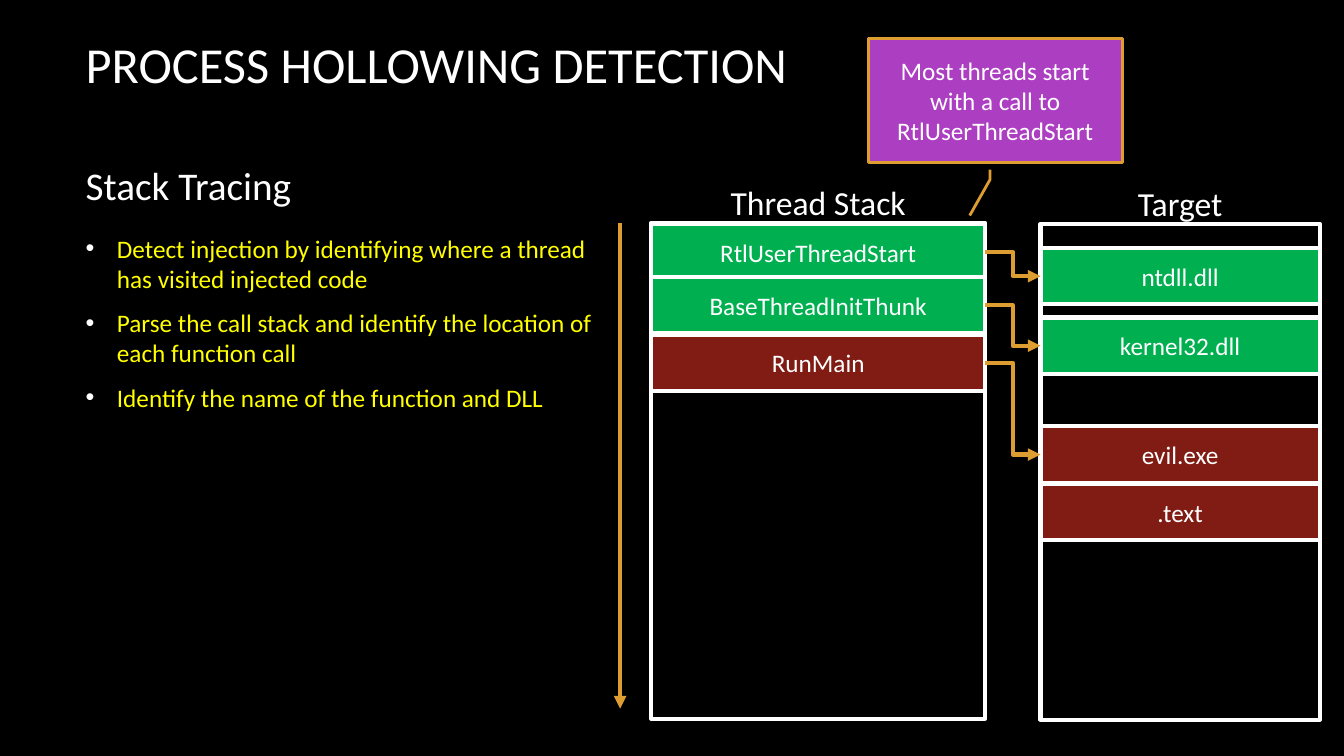
from lxml import etree
from pptx import Presentation
from pptx import util as u
from pptx.dml.color import RGBColor
from pptx.enum import shapes, text
from pptx.oxml import ns

BLACK, WHITE, YELLOW = "000000", "FFFFFF", "FFFF00"
GREEN, RED, GOLD, PURPLE = "00B050", "801C14", "DD9D31", "AC3EC1"
ROW_HEIGHT, COLUMN_HEIGHT = 0.56, 4.92


def colour(value):
    return RGBColor.from_string(value)


def add_xml(parent, tag, **attributes):
    return etree.SubElement(parent, ns.qn(tag), attributes)


class Slide:
    font = "Calibri"

    def __init__(self, page):
        self.page = page
        page.background.fill.solid()
        page.background.fill.fore_color.rgb = colour(BLACK)

    def set_text(self, box, lines, size, ink=WHITE, align=text.PP_ALIGN.CENTER,
                 anchor=text.MSO_ANCHOR.MIDDLE, after=0):
        frame = box.text_frame
        frame.text = "\n".join(lines)
        frame.word_wrap = True
        frame.auto_size = text.MSO_AUTO_SIZE.NONE
        frame.vertical_anchor = anchor
        for para in frame.paragraphs:
            para.alignment = align
            para.space_before, para.space_after = u.Pt(0), u.Pt(after)
            para.font.name, para.font.size = self.font, u.Pt(size)
            para.font.bold = False
            para.font.color.rgb = colour(ink)

    def placeholder(self, index, place, lines, size, **style):
        box = self.page.placeholders[index]
        box.left, box.top, box.width, box.height = map(u.Inches, place)
        self.set_text(box, lines, size, align=text.PP_ALIGN.LEFT, **style)
        return box

    def bullets(self, index, place, lines, size, ink):
        box = self.placeholder(index, place, lines, size, ink=ink, after=10,
                               anchor=text.MSO_ANCHOR.TOP)
        indent = u.Inches(0.31)
        for para in box.text_frame.paragraphs:
            props = para._p.get_or_add_pPr()
            props.set("marL", str(indent))
            props.set("indent", str(-indent))
            # Bullet elements must precede the default run properties.
            defaults = props.find(ns.qn("a:defRPr"))
            add_xml(add_xml(props, "a:buClr"), "a:srgbClr", val=WHITE)
            add_xml(props, "a:buFont", typeface="Arial")
            add_xml(props, "a:buChar", char="•")
            if defaults is not None:
                props.append(defaults)

    def label(self, place, words):
        box = self.page.shapes.add_textbox(*map(u.Inches, place))
        self.set_text(box, [words], 24, anchor=text.MSO_ANCHOR.TOP)
        box.text_frame.auto_size = text.MSO_AUTO_SIZE.SHAPE_TO_FIT_TEXT

    def shape(self, place, fill=None, words="", line=WHITE, width=3,
              kind=shapes.MSO_SHAPE.RECTANGLE):
        box = self.page.shapes.add_shape(kind, *map(u.Inches, place))
        box.shadow.inherit = False
        box.line.color.rgb = colour(line)
        box.line.width = u.Pt(width)
        if fill:
            box.fill.solid()
            box.fill.fore_color.rgb = colour(fill)
        else:
            box.fill.background()
        if words:
            self.set_text(box, [words], 18)
        return box

    def column(self, heading, left, top, width, rows):
        """Draw a headed memory column and return its rows by name."""
        self.label((left, top - 0.45, width, 0.5), heading)
        self.shape((left, top, width, COLUMN_HEIGHT))
        return {name: self.shape((left, row_top, width, ROW_HEIGHT), fill, name)
                for name, row_top, fill in rows}

    def arrow(self, kind, start=(0, 0), end=(0, 0)):
        line = self.page.shapes.add_connector(kind, *map(u.Inches, start + end))
        line.line.color.rgb = colour(GOLD)
        line.line.width = u.Pt(3)
        add_xml(line.line._get_or_add_ln(), "a:tailEnd", type="triangle")
        add_xml(line._element.spPr, "a:effectLst")
        return line

    def link(self, source, target):
        """Join the right side of source to the left side of target."""
        line = self.arrow(shapes.MSO_CONNECTOR.ELBOW)
        line.begin_connect(source, 3)
        line.end_connect(target, 1)

    def callout(self, place, words, adjustments):
        box = self.shape(place, PURPLE, words, GOLD, 2,
                         shapes.MSO_SHAPE.LINE_CALLOUT_2)
        for index, value in enumerate(adjustments):
            box.adjustments[index] = value

    def remove_empty(self):
        for box in list(self.page.placeholders):
            if not box.text_frame.text:
                box._element.getparent().remove(box._element)


def main():
    deck = Presentation()
    deck.slide_width, deck.slide_height = u.Inches(13.33), u.Inches(7.5)
    slide = Slide(deck.slides.add_slide(deck.slide_layouts.get_by_name("Comparison")))

    slide.placeholder(0, (0.75, 0.19, 11.08, 0.88), ["PROCESS HOLLOWING DETECTION"], 36)
    slide.placeholder(1, (0.75, 1.49, 5.46, 0.63), ["Stack Tracing"], 28,
                      anchor=text.MSO_ANCHOR.BOTTOM, after=10)
    slide.bullets(2, (0.75, 2.26, 5.46, 4.07), [
        "Detect injection by identifying where a thread has visited injected code",
        "Parse the call stack and identify the location of each function call",
        "Identify the name of the function and DLL",
    ], 18, YELLOW)
    slide.remove_empty()

    modules = slide.column("Target", 10.32, 2.22, 2.77, [
        ("evil.exe", 4.23, RED),
        (".text", 4.8, RED),
        ("ntdll.dll", 2.46, GREEN),
        ("kernel32.dll", 3.15, GREEN),
    ])
    calls = slide.column("Thread Stack", 6.46, 2.21, 3.31, [
        ("RtlUserThreadStart", 2.22, GREEN),
        ("BaseThreadInitThunk", 2.75, GREEN),
        ("RunMain", 3.32, RED),
    ])
    for call, module in [("RtlUserThreadStart", "ntdll.dll"),
                         ("BaseThreadInitThunk", "kernel32.dll"),
                         ("RunMain", "evil.exe")]:
        slide.link(calls[call], modules[module])

    slide.arrow(shapes.MSO_CONNECTOR.STRAIGHT, (6.15, 2.21), (6.15, 7.03))
    slide.callout((8.61, 0.38, 2.52, 1.23),
                  "Most threads start with a call to RtlUserThreadStart",
                  (1.06, 0.48, 1.14, 0.48, 1.43, 0.4))
    deck.save("out.pptx")


if __name__ == "__main__":
    main()
